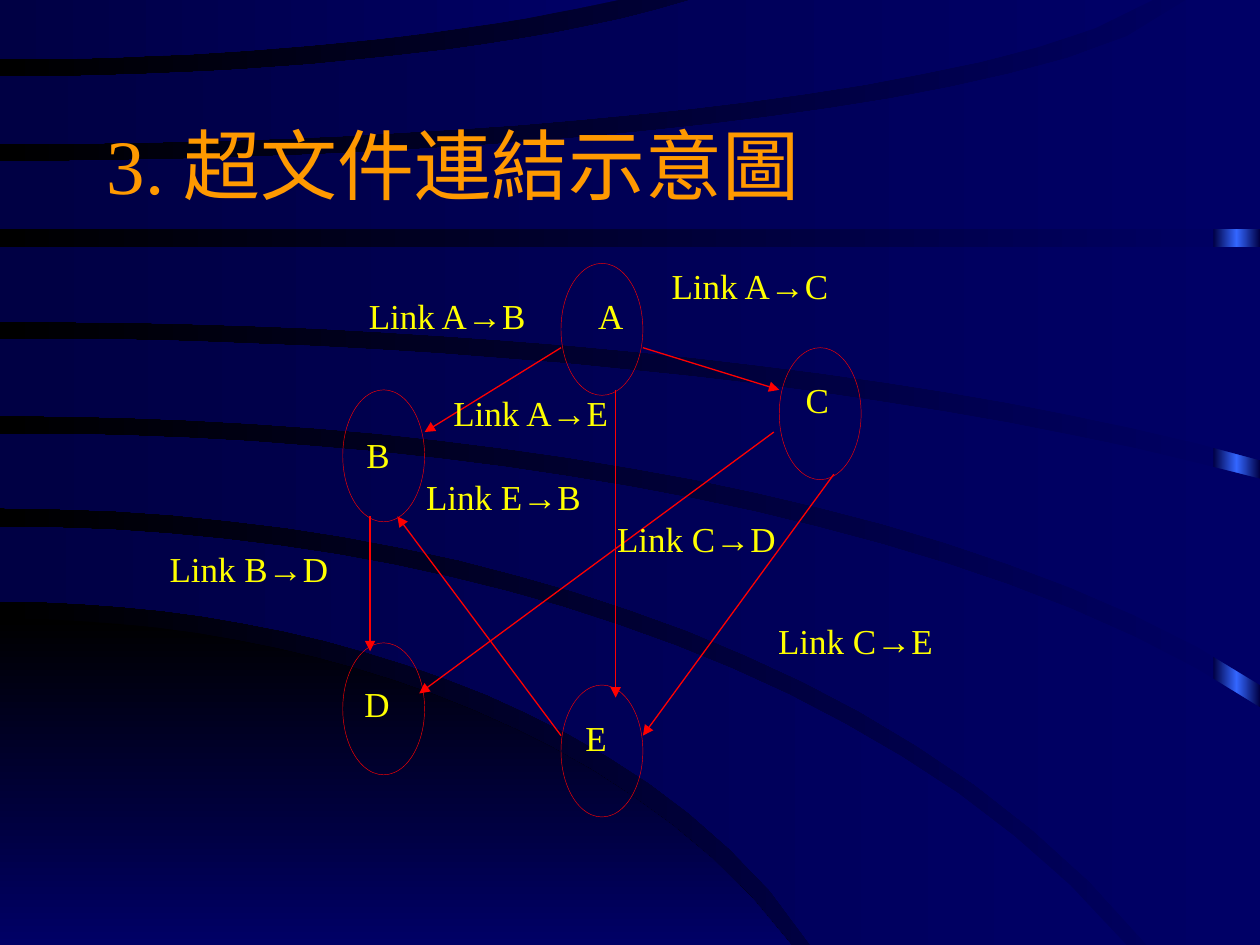
from copy import deepcopy
from math import sqrt

from pptx import Presentation
from pptx.dml.color import RGBColor
from pptx.enum.shapes import MSO_CONNECTOR, MSO_SHAPE
from pptx.enum.text import MSO_ANCHOR, MSO_AUTO_SIZE, PP_ALIGN
from pptx.oxml.ns import qn
from pptx.util import Cm, Pt

OVAL, RECT = MSO_SHAPE.OVAL, MSO_SHAPE.RECTANGLE
STRAIGHT = MSO_CONNECTOR.STRAIGHT
TOP, MIDDLE = MSO_ANCHOR.TOP, MSO_ANCHOR.MIDDLE
NO_FIT, LEFT = MSO_AUTO_SIZE.NONE, PP_ALIGN.LEFT

NAVY = RGBColor(0x00, 0x00, 0x66)
DARK_NAVY = RGBColor(0x00, 0x00, 0x44)
BLACK = RGBColor(0x00, 0x00, 0x00)
BLUE = RGBColor(0x33, 0x66, 0xFF)
ORANGE = RGBColor(0xFF, 0x99, 0x00)
RED = RGBColor(0xFF, 0x00, 0x00)
YELLOW = RGBColor(0xFF, 0xFF, 0x00)

TITLE_FONT = {"name": "Times New Roman", "size": Pt(44), "bold": False}
LABEL_FONT = {"name": "Times New Roman", "size": Pt(20)}

SLIDE_W, SLIDE_H = 25.4, 19.05
STEPS = 20
# An arc is its height at the left edge and its two ellipse radii, in cm.
CORNER = (12.47, 17.83, 11.89)
BANDS = [
    ((10.62, 25.6, 15.65), (12.12, 17.68, 11.2)),
    ((8.74, 28.85, 10.49), (10.24, 25.8, 15.85)),
    ((6.83, 36.6, 10.06), (8.38, 28.7, 10.16)),
    ((4.98, SLIDE_W, 0), (6.48, 33, 7.75)),
    ((3.25, 24.2, -3.84), (4.62, SLIDE_W, 0)),
    ((1.55, 16.76, -3.49), (2.9, 23.9, -3.78)),
    (None, (1.19, 18.97, -4.83))]

# Diagram positions are counted in columns and rows.
COL, ROW = 0.55, 0.85
NODES = [
    ("A", (8, 0), (9, 0.7), 0.2), ("C", (16, 2), (16.6, 2.7), 0.2),
    ("D", (0, 9), (0.1, 9.9), 0.38), ("E", (8, 10), (8.2, 10.7), 0.38),
    ("B", (0, 3), (0.5, 4), 0.2)]
LINKS = [
    ("A→B", (8, 2), (3, 4), (0.9, 0.7)),
    ("A→C", (11, 2), (16, 3), (12, 0)),
    ("A→E", (10, 3), (10, 10.3), (4, 3)),
    ("C→D", (15.8, 4), (2.8, 10.2), (10, 6)),
    ("B→D", (1, 6), (1, 9.2), (-6.4, 6.7)),
    ("E→B", (8, 11.2), (2, 6), (3, 5)),
    ("C→E", (18, 5), (11, 11.2), (15.9, 8.4))]


def paint_stops(fill, colors, angle):
    fill.gradient_angle = angle
    for i, (stop, color) in enumerate(zip(fill.gradient_stops, colors)):
        stop.position = i / (len(colors) - 1)
        stop.color.rgb = color


def arc_points(start, rx, ry):
    reach = SLIDE_W
    if ry:
        room = SLIDE_H - start if ry > 0 else start
        left_over = 1 - min(1, room / abs(ry))
        reach = min(SLIDE_W, rx * sqrt(1 - left_over ** 2))
    xs = [reach * i / STEPS for i in range(STEPS + 1)]
    return [(x, start + ry * (1 - sqrt(1 - (x / rx) ** 2))) for x in xs]


def band_outline(upper, lower):
    top = arc_points(*upper) if upper else [(0, 0)]
    bottom = arc_points(*lower) if lower else [(0, SLIDE_H)]
    short, long = sorted((top[-1], bottom[-1]))
    corner = [(SLIDE_W, short[1])] if short[0] < long[0] == SLIDE_W else []
    return top + corner + bottom[::-1]


def add_band(s, x, y, outline, colors, angle):
    points = [(round(px * 100), round(py * 100)) for px, py in outline]
    builder = s.shapes.build_freeform(*points[0], scale=Cm(0.01))
    builder.add_line_segments(points[1:], close=True)
    sp = builder.convert_to_shape(x, y)
    sp.shadow.inherit = False
    sp.line.fill.background()
    sp.fill.gradient()
    paint_stops(sp.fill, colors, angle)


def add_backdrop(s, x, y, w, h):
    fill = s.background.fill
    fill.gradient()
    paint_stops(fill, [NAVY, BLACK], 180)
    stripe_w = Cm(0.94)
    sp = s.shapes.add_shape(RECT, x + w - stripe_w, y, stripe_w, h)
    sp.shadow.inherit = False
    sp.line.fill.background()
    sp.fill.gradient()
    stops = sp._element.spPr.find(".//" + qn("a:gsLst"))
    stops.append(deepcopy(stops[0]))
    paint_stops(sp.fill, [DARK_NAVY, BLUE, DARK_NAVY], 180)
    add_band(s, x, y, band_outline(CORNER, None), [BLACK, NAVY], 270)
    for upper, lower in BANDS:
        add_band(s, x, y, band_outline(upper, lower), [NAVY, DARK_NAVY], 180)


def write(tf, text, font, color, frame):
    for name, value in frame.items():
        setattr(tf, name, value)
    p = tf.paragraphs[0]
    p.alignment = LEFT
    r = p.add_run()
    r.text = text
    for name, value in font.items():
        setattr(r.font, name, value)
    r.font.color.rgb = color


def add_title(s, x, y, w, h):
    sp = s.shapes.title
    for name, value in {"left": x, "top": y, "width": w, "height": h}.items():
        setattr(sp, name, value)
    frame = {"vertical_anchor": MIDDLE, "auto_size": NO_FIT, "word_wrap": True}
    write(sp.text_frame, "3. 超文件連結示意圖", TITLE_FONT, ORANGE, frame)
    sp._element.getparent().append(sp._element)


def add_label(s, x, y, w, h, text, indent=0.03):
    edge = Cm(0.03)
    frame = {"margin_left": Cm(indent), "margin_top": edge, "margin_right": edge,
             "margin_bottom": edge, "vertical_anchor": TOP, "word_wrap": True}
    tf = s.shapes.add_textbox(x, y, w, h).text_frame
    write(tf, text, LABEL_FONT, YELLOW, frame)


def add_arrow(s, start, end):
    cxn = s.shapes.add_connector(STRAIGHT, *start, *end)
    cxn.line.color.rgb = RED
    cxn.line.width = Pt(0.75)
    sp_pr = cxn._element.spPr
    ln = sp_pr.find(qn("a:ln"))
    ln.append(ln.makeelement(qn("a:tailEnd"), {"type": "triangle"}))
    sp_pr.append(sp_pr.makeelement(qn("a:effectLst"), {}))


def add_diagram(s, x, y):
    def at(cell):
        return x + Cm(cell[0] * COL), y + Cm(cell[1] * ROW)

    w, h = Cm(1.65), Cm(2.66)
    for _, cell, _, _ in NODES:
        sp = s.shapes.add_shape(OVAL, *at(cell), w, h)
        sp.shadow.inherit = False
        sp.fill.background()
        sp.line.color.rgb = RED
        sp.line.width = Pt(0.25)
    for _, start, end, _ in LINKS:
        add_arrow(s, at(start), at(end))
    for text, _, cell, indent in NODES:
        add_label(s, *at(cell), w, h, text, indent)
    for text, _, _, cell in LINKS:
        add_label(s, *at(cell), Cm(4.42), Cm(1.78), f"Link {text}")


def main():
    prs = Presentation()
    prs.slide_width, prs.slide_height = Cm(SLIDE_W), Cm(SLIDE_H)
    s = prs.slides.add_slide(prs.slide_layouts[5])
    add_backdrop(s, 0, 0, prs.slide_width, prs.slide_height)
    add_title(s, Cm(1.9), Cm(1.7), Cm(21.6), Cm(3.18))
    add_diagram(s, Cm(6.91), Cm(5.31))
    prs.save("out.pptx")


if __name__ == "__main__":
    main()
